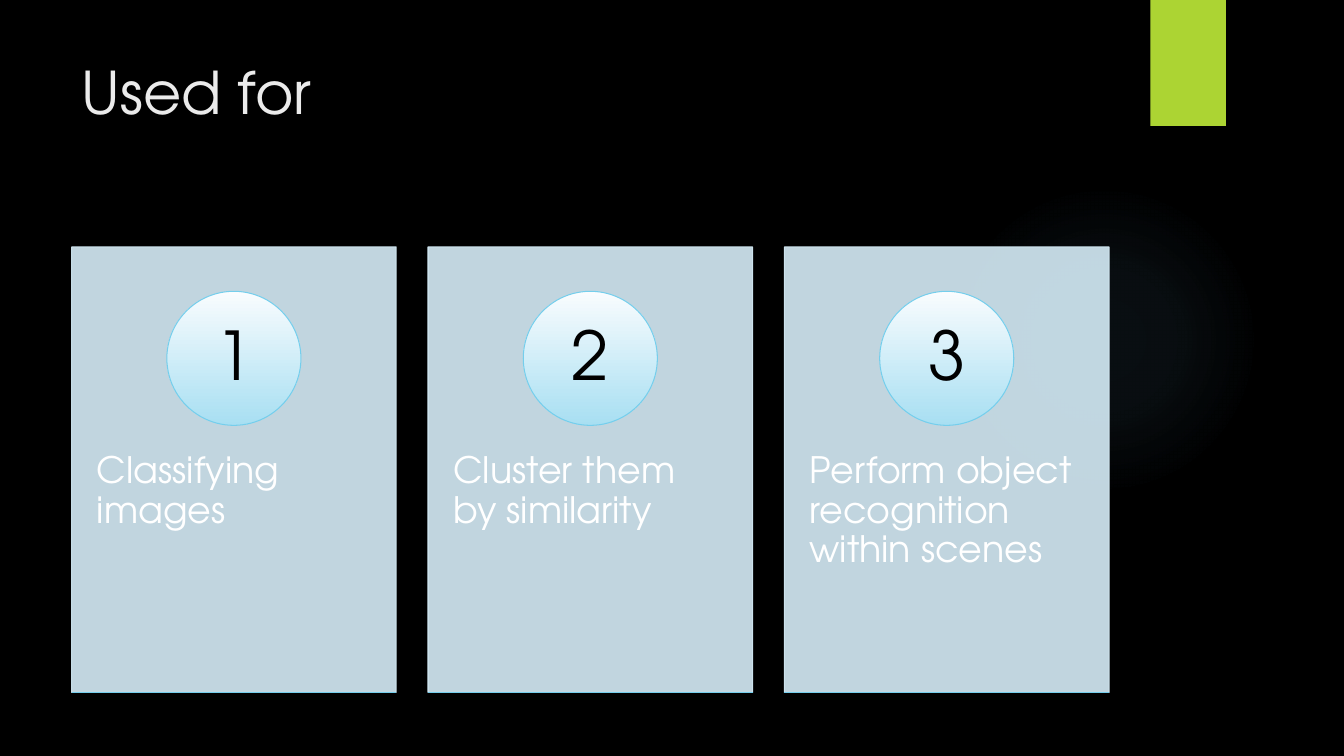
import lxml.etree
import pptx
import pptx.util
import pptx.dml.color
import pptx.enum.shapes
import pptx.enum.text
import pptx.oxml.ns

Inches = pptx.util.Inches
Pt = pptx.util.Pt
RGBColor = pptx.dml.color.RGBColor
Shape = pptx.enum.shapes.MSO_SHAPE
Anchor = pptx.enum.text.MSO_ANCHOR
Align = pptx.enum.text.PP_ALIGN
qn = pptx.oxml.ns.qn

FONT = "TeX Gyre Adventor"
BLACK = RGBColor(0x00, 0x00, 0x00)
WHITE = RGBColor(0xFF, 0xFF, 0xFF)
TITLE_GRAY = RGBColor(0xEB, 0xEB, 0xEB)
GREEN = RGBColor(0xAC, 0xD4, 0x33)
GLOW_BLUE = RGBColor(0x7A, 0xC4, 0xF0)
CARD_BLUE = RGBColor(0xD6, 0xED, 0xF8)
CIRCLE_TOP = RGBColor(0xF9, 0xFC, 0xFE)
CIRCLE_BOTTOM = RGBColor(0xA8, 0xDF, 0xF2)
OUTLINE_BLUE = RGBColor(0x75, 0xCE, 0xEC)

USES = [
    "Classifying images",
    "Cluster them by similarity",
    "Perform object recognition within scenes",
]
CARD_LEFT, CARD_TOP = 0.71, 2.45
CARD_WIDTH, CARD_HEIGHT = 3.22, 4.42
CARD_STEP = 3.535
CIRCLE_SIZE = 1.33


def set_attributes(target, values):
    for name, value in values.items():
        setattr(target, name, value)


def write_text(shape, text, size, color, frame_format, paragraph_format):
    frame = shape.text_frame
    frame.text = text
    set_attributes(frame, {"word_wrap": True, **frame_format})
    paragraph = frame.paragraphs[0]
    set_attributes(paragraph, paragraph_format)
    font = paragraph.runs[0].font
    set_attributes(font, {"name": FONT, "size": Pt(size)})
    font.color.rgb = color


def add_plain_shape(slide, kind, left, top, width, height, fill=None, line=None):
    shape = slide.shapes.add_shape(
        kind, Inches(left), Inches(top), Inches(width), Inches(height))
    shape.shadow.inherit = False
    if fill is not None:
        shape.fill.solid()
        shape.fill.fore_color.rgb = fill
    if line is None:
        shape.line.fill.background()
    else:
        shape.line.color.rgb = line
        shape.line.width = Pt(0.75)
    return shape


def set_opacity(color_element, percent):
    alpha = lxml.etree.SubElement(color_element, qn("a:alpha"))
    alpha.set("val", str(percent * 1000))


def add_glow(slide):
    glow = add_plain_shape(slide, Shape.OVAL, 9.41, 1.83, 3.08, 3.08, GLOW_BLUE)
    solid = glow._element.spPr.find(qn("a:solidFill"))
    gradient = lxml.etree.Element(qn("a:gradFill"))
    stops = lxml.etree.SubElement(gradient, qn("a:gsLst"))
    for position, opacity in [(0, 7), (36, 6), (69, 0), (100, 0)]:
        stop = lxml.etree.SubElement(stops, qn("a:gs"), pos=str(position * 1000))
        color = lxml.etree.SubElement(stop, qn("a:srgbClr"), val=str(GLOW_BLUE))
        set_opacity(color, opacity)
    circle = lxml.etree.SubElement(gradient, qn("a:path"))
    circle.set("path", "circle")
    center = dict.fromkeys("ltrb", "50000")
    lxml.etree.SubElement(circle, qn("a:fillToRect"), center)
    solid.getparent().replace(solid, gradient)


def add_title(slide, text):
    title = slide.shapes.title
    set_attributes(title, {
        "left": Inches(0.71), "top": Inches(0.5),
        "width": Inches(10.29), "height": Inches(1.53)})
    write_text(title, text, 42, TITLE_GRAY,
               {"vertical_anchor": Anchor.TOP,
                "auto_size": pptx.enum.text.MSO_AUTO_SIZE.NONE},
               {"alignment": Align.LEFT})


def add_card_panel(slide, left):
    panel = add_plain_shape(slide, Shape.RECTANGLE, left, CARD_TOP,
                            CARD_WIDTH, CARD_HEIGHT, CARD_BLUE, CARD_BLUE)
    for color in panel._element.spPr.iter(qn("a:srgbClr")):
        set_opacity(color, 90)


def add_card_text(slide, left, text):
    box = slide.shapes.add_textbox(
        Inches(left), Inches(4.13), Inches(CARD_WIDTH), Inches(2.66))
    write_text(box, text, 26, WHITE,
               {"margin_left": Inches(0.25), "margin_right": Inches(0.25),
                "margin_top": Inches(0.36), "margin_bottom": Inches(0.36)},
               {"line_spacing": 0.9, "alignment": Align.LEFT})


def add_number_circle(slide, left, number):
    circle = add_plain_shape(
        slide, Shape.OVAL, left + (CARD_WIDTH - CIRCLE_SIZE) / 2, 2.89,
        CIRCLE_SIZE, CIRCLE_SIZE, line=OUTLINE_BLUE)
    circle.fill.gradient()
    circle.fill.gradient_angle = 270
    for stop, color in zip(circle.fill.gradient_stops, [CIRCLE_TOP, CIRCLE_BOTTOM]):
        stop.color.rgb = color
    write_text(circle, str(number), 48, BLACK,
               {"vertical_anchor": Anchor.MIDDLE,
                "margin_left": Inches(0.1), "margin_right": Inches(0.1),
                "margin_top": Inches(0.01), "margin_bottom": Inches(0.01)},
               {"line_spacing": 0.9, "alignment": Align.CENTER})


def add_base_line(slide, left):
    bottom = Inches(CARD_TOP + CARD_HEIGHT)
    line = slide.shapes.add_connector(
        pptx.enum.shapes.MSO_CONNECTOR.STRAIGHT,
        Inches(left), bottom, Inches(left + CARD_WIDTH), bottom)
    line.line.color.rgb = OUTLINE_BLUE
    line.line.width = Pt(0.75)
    lxml.etree.SubElement(line._element.spPr, qn("a:effectLst"))


def add_card(slide, index, text):
    left = CARD_LEFT + index * CARD_STEP
    add_card_panel(slide, left)
    add_card_text(slide, left, text)
    add_number_circle(slide, left, index + 1)
    add_base_line(slide, left)


def main():
    presentation = pptx.Presentation()
    set_attributes(presentation, {
        "slide_width": Inches(13.33), "slide_height": Inches(7.5)})
    slide = presentation.slides.add_slide(presentation.slide_layouts[5])
    slide.background.fill.solid()
    slide.background.fill.fore_color.rgb = BLACK
    add_glow(slide)
    add_plain_shape(slide, Shape.RECTANGLE, 11.41, 0, 0.75, 1.25, GREEN)
    add_title(slide, "Used for")
    for index, text in enumerate(USES):
        add_card(slide, index, text)
    presentation.save("out.pptx")


main()
